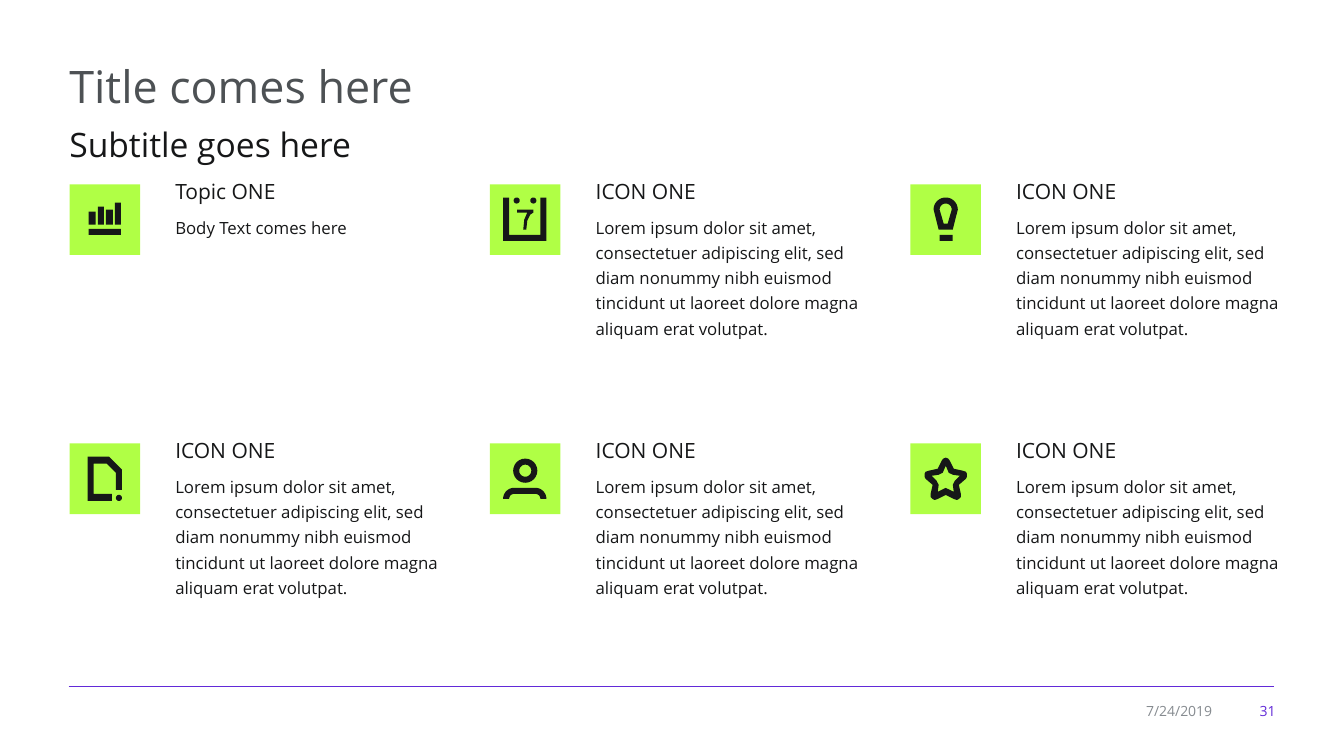
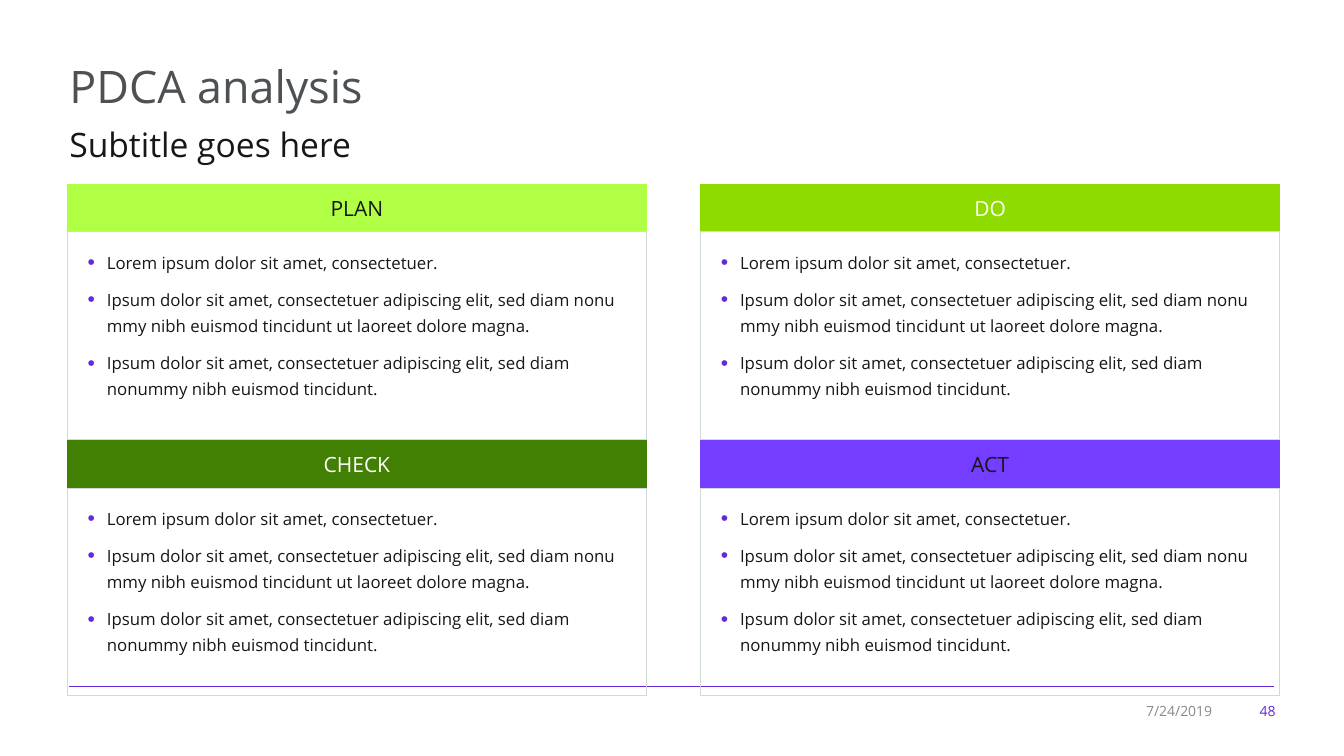
from math import cos, radians, sin

from lxml import etree
from pptx import Presentation
from pptx.dml.color import RGBColor
from pptx.enum.shapes import MSO_CONNECTOR, MSO_SHAPE
from pptx.enum.text import MSO_ANCHOR, PP_ALIGN
from pptx.oxml.ns import qn
from pptx.util import Inches, Pt

LEFT, CENTER, RIGHT = PP_ALIGN.LEFT, PP_ALIGN.CENTER, PP_ALIGN.RIGHT
TOP, MIDDLE = MSO_ANCHOR.TOP, MSO_ANCHOR.MIDDLE
RECT, STRAIGHT = MSO_SHAPE.RECTANGLE, MSO_CONNECTOR.STRAIGHT

FONT = "Open Sans"
INK, GRAY, MUTED, WHITE = "161718", "4D5154", "868B90", "FFFFFF"
VIOLET, PURPLE, EDGE = "622AD8", "753DFF", "D1DADB"
LIME, GREEN, FOREST = "B0FF45", "8FDB00", "428003"

LOREM = ("Lorem ipsum dolor sit amet, consectetuer adipiscing elit, sed diam "
         "nonummy nibh euismod tincidunt ut laoreet dolore magna aliquam erat "
         "volutpat.")
POINTS = [
    "Lorem ipsum dolor sit amet, consectetuer.",
    "Ipsum dolor sit amet, consectetuer adipiscing elit, sed diam nonu "
    "mmy nibh euismod tincidunt ut laoreet dolore magna.",
    "Ipsum dolor sit amet, consectetuer adipiscing elit, sed diam\n"
    "nonummy nibh euismod tincidunt.",
]


# Basic helpers
def rgb(code):
    return RGBColor.from_string(code)


def child(parent, tag, **attrs):
    return etree.SubElement(parent, qn(tag), attrs)


def bullet(para):
    props = para._p.get_or_add_pPr()
    props.set("marL", str(Inches(0.19)))
    props.set("indent", str(-Inches(0.19)))
    child(child(props, "a:buClr"), "a:srgbClr", val=VIOLET)
    child(props, "a:buSzPct", val="125000")
    child(props, "a:buFont", typeface="Arial")
    child(props, "a:buChar", char="•")


def write(frame, lines, size=12, color=INK, align=LEFT, space=None, after=0,
          dots=False):
    for i, line in enumerate(lines):
        para = frame.paragraphs[0] if i == 0 else frame.add_paragraph()
        para.text = line
        if dots:
            bullet(para)
        para.alignment = align
        para.space_after = Pt(after)
        if space:
            para.line_spacing = space
        for run in para.runs:
            run.font.name = FONT
            run.font.size = Pt(size)
            run.font.color.rgb = rgb(color)
        for stop in para._p.findall(qn("a:br")):
            child(stop, "a:rPr", sz=str(size * 100))


def label(slide, text, x, y, w, h, anchor=TOP, **style):
    box = slide.shapes.add_textbox(Inches(x), Inches(y), Inches(w), Inches(h))
    frame = box.text_frame
    frame.word_wrap = True
    frame.vertical_anchor = anchor
    write(frame, [text], **style)


def paint(shape, color):
    shape.shadow.inherit = False
    shape.fill.solid()
    shape.fill.fore_color.rgb = rgb(color)
    shape.line.fill.background()


# Icon outlines, in hundredths of an inch inside a tile 70 wide
def bar(x, y, right, base):
    return [(x, y), (right, y), (right, base), (x, base)]


def arc(x, y, r, start, end):
    angles = [radians(start + (end - start) * i / 24) for i in range(25)]
    return [(x + r * cos(a), y + r * sin(a)) for a in angles]


def ring(x, y, r):
    return arc(x, y, r, 0, 360)


def mirror(half):
    return half + [(70 - x, y) for x, y in reversed(half)]


CHART = [bar(19, 44, 51, 50), bar(19, 27, 26, 40), bar(28, 22, 34, 40),
         bar(36, 25, 43, 40), bar(45, 18, 51, 40)]
DATE = [
    [(56, 13), (56, 56), (13, 56), (13, 13), (19, 13), (19, 50), (50, 50),
     (50, 13)],
    ring(26.5, 16, 3), ring(43, 16, 3),
    [(36, 45), (37, 36), (40, 30), (43, 28), (43, 25), (27, 25), (27, 28),
     (37, 28), (34, 35), (33, 45)],
]
BULB = [arc(35, 25, 12, 180, 360) + [(42, 45), (28, 45)],
        arc(35, 25, 6, 180, 360) + [(37, 39), (33, 39)],
        bar(29, 50, 42, 56)]
PAGE = [
    [(52, 26), (52, 46), (46, 46), (46, 29), (37, 20), (24, 20), (24, 50),
     (42, 50), (42, 57), (18, 57), (18, 13), (39, 13)],
    ring(49, 54, 3),
]
PERSON = [ring(35, 27, 12), ring(35, 27, 6),
          arc(24, 55, 11, 180, 270) + arc(45, 55, 11, 270, 360)
          + arc(45, 55, 5, 360, 270) + arc(24, 55, 5, 270, 180)]
STAR = [
    mirror([(35, 14), (37.5, 15), (39, 17), (43, 25), (52, 27), (55, 28),
            (56, 30), (56, 33), (55, 35), (48, 41), (50, 50), (50, 53),
            (48, 55), (46, 56), (43, 55), (35, 51)]),
    mirror([(35, 22), (38, 29), (42, 31), (49, 32), (44, 37), (42, 41),
            (43, 48), (37, 45), (35, 44)]),
]


def icon(slide, paths, x, y):
    tile = slide.shapes.add_shape(RECT, Inches(x), Inches(y),
                                  Inches(0.7), Inches(0.7))
    paint(tile, LIME)
    pen = None
    for path in paths:
        dots = [(px * 10, py * 10) for px, py in path]
        if pen is None:
            pen = slide.shapes.build_freeform(*dots[0], scale=914.4)
        else:
            pen.move_to(*dots[0])
        pen.add_line_segments(dots[1:], close=True)
    paint(pen.convert_to_shape(Inches(x), Inches(y)), INK)


# Shared frame: rule, title, subtitle, footer
def start(deck, title, page):
    slide = deck.slides.add_slide(deck.slide_layouts[6])
    rule = slide.shapes.add_connector(STRAIGHT, Inches(0.68), Inches(6.81),
                                      Inches(12.64), Inches(6.81))
    rule.line.color.rgb = rgb(VIOLET)
    rule.line.width = Pt(0.75)
    child(rule._element.spPr, "a:effectLst")
    label(slide, title, 0.59, 0.53, 12.16, 0.7, size=32, color=GRAY)
    label(slide, "Subtitle goes here", 0.59, 1.18, 12.03, 0.54, size=24)
    label(slide, page, 12.24, 6.92, 0.51, 0.26, MIDDLE, size=10,
          color=VIOLET, align=RIGHT)
    label(slide, "7/24/2019", 11.17, 6.92, 0.95, 0.26, MIDDLE, size=10,
          color=MUTED, align=RIGHT)
    return slide


# Topic: icon tile with heading and body
def topic(slide, paths, head, body, x, y):
    icon(slide, paths, x, y)
    label(slide, head, x + 0.95, y - 0.11, 2.9, 0.35, size=15)
    label(slide, body, x + 0.95, y + 0.23, 2.9, 1.34, space=Pt(18))


def topics(deck):
    slide = start(deck, "Title comes here", "31")
    for i, paths in enumerate([CHART, DATE, BULB, PAGE, PERSON, STAR]):
        head, body = ("ICON ONE", LOREM) if i else ("Topic ONE",
                                                    "Body Text comes here")
        row, col = divmod(i, 3)
        topic(slide, paths, head, body, 0.69 + 4.17 * col, 1.83 + 2.57 * row)


# Panel: table with a coloured heading over a bullet list
def border(cell, color):
    props = cell._tc.get_or_add_tcPr()
    for side in ("a:lnL", "a:lnR", "a:lnT", "a:lnB"):
        line = child(props, side, w=str(Pt(0.5)))
        child(child(line, "a:solidFill"), "a:srgbClr", val=color)


def panel(slide, name, fill, color, x, y):
    heights = (0.47, 2.06)
    table = slide.shapes.add_table(2, 1, Inches(x), Inches(y), Inches(5.74),
                                   Inches(sum(heights))).table
    table.first_row = table.horz_banding = False
    for row, height in zip(table.rows, heights):
        row.height = Inches(height)
    head, body = table.cell(0, 0), table.cell(1, 0)
    border(head, fill)
    head.fill.solid()
    head.fill.fore_color.rgb = rgb(fill)
    head.vertical_anchor = MIDDLE
    write(head.text_frame, [name], size=15, color=color, align=CENTER)
    border(body, EDGE)
    body.fill.background()
    body.margin_left, body.margin_top = Inches(0.2), Inches(0.16)
    write(body.text_frame, POINTS, space=1.14, after=8, dots=True)


def cycle(deck):
    slide = start(deck, "PDCA analysis", "48")
    steps = [("PLAN", LIME, INK), ("DO", GREEN, WHITE),
             ("CHECK", FOREST, WHITE), ("ACT", PURPLE, INK)]
    for i, step in enumerate(steps):
        row, col = divmod(i, 2)
        panel(slide, *step, 0.67 + 6.28 * col, 1.83 + 2.54 * row)


def main():
    deck = Presentation()
    deck.slide_width, deck.slide_height = Inches(13.33), Inches(7.5)
    topics(deck)
    cycle(deck)
    deck.save("out.pptx")


if __name__ == "__main__":
    main()
